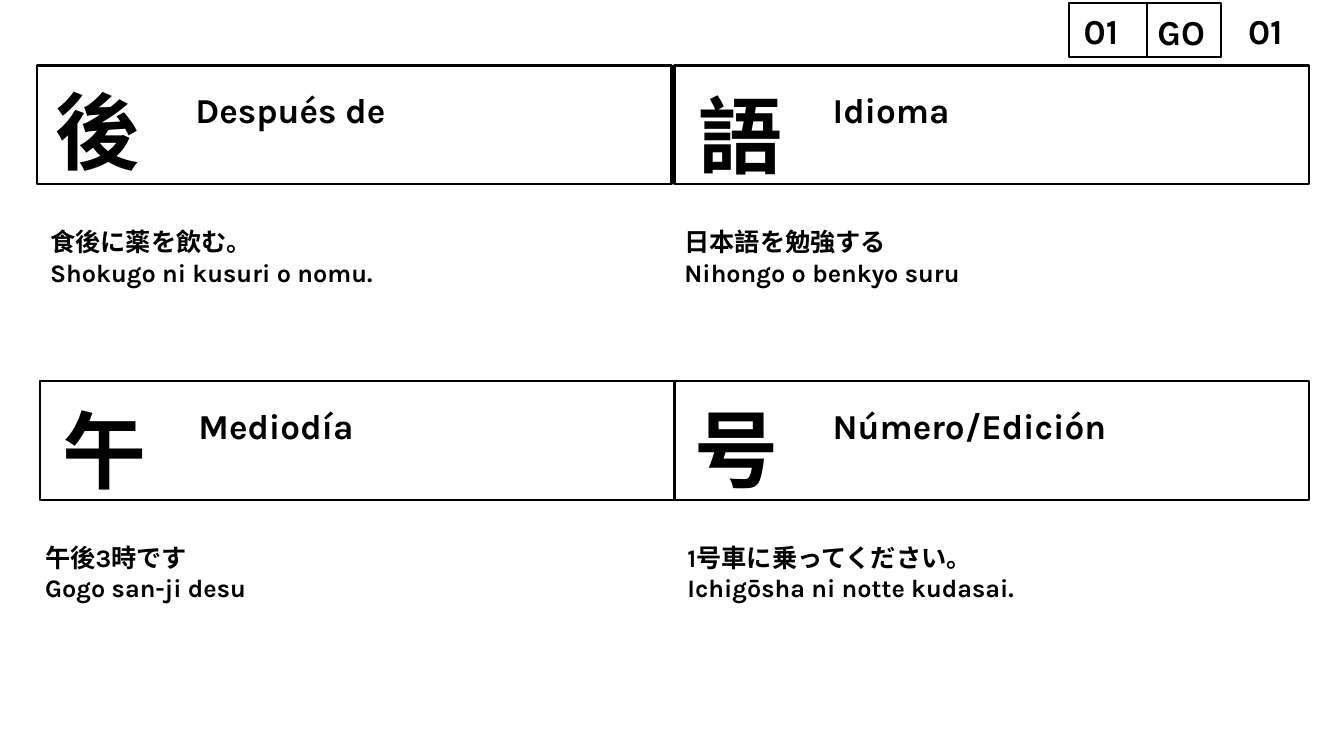
from pptx import Presentation, util as u
from pptx.dml.color import RGBColor
from pptx.enum import shapes, text

FONT, BLACK, WHITE = "Karla", "000000", "FFFFFF"
CARD_W, CARD_H = 6.29, 1.18
ROWS = (0.65, 3.78)
MEANING_DX, MEANING_DY = 1.47, 0.18
EXAMPLE_DY = 1.55

# row, left, kanji, kanji offset, meaning, meaning width, example lines, example offset
CARDS = [
    (0, 0.37, "後", (0.08, 0.09), "Después de", 2.68,
     ("食後に薬を飲む。", "Shokugo ni kusuri o nomu."), 0.03),
    (0, 6.69, "語", (0.14, 0.13), "Idioma", 2.68,
     ("日本語を勉強する", "Nihongo o benkyo suru"), 0),
    (1, 0.40, "午", (0.12, 0.12), "Mediodía", 2.68,
     ("午後3時です", "Gogo san-ji desu"), -0.05),
    (1, 6.69, "号", (0.10, 0.11), "Número/Edición", 4.52,
     ("1号車に乗ってください。", "Ichigōsha ni notte kudasai."), 0.03),
]


def rgb(value):
    return RGBColor.from_string(value)


def inches(*lengths):
    return [u.Inches(n) for n in lengths]


def write(sp, *lines, size=25, color=BLACK, bold=True):
    """Fill a shape with one left-aligned paragraph per line."""
    tf = sp.text_frame
    tf.word_wrap = True
    tf.auto_size = text.MSO_AUTO_SIZE.SHAPE_TO_FIT_TEXT
    tf.vertical_anchor = text.MSO_ANCHOR.TOP
    for i, line in enumerate(lines):
        p = tf.paragraphs[0] if i == 0 else tf.add_paragraph()
        p.alignment = text.PP_ALIGN.LEFT
        r = p.add_run()
        r.text = line
        r.font.name, r.font.size, r.font.bold = FONT, u.Pt(size), bold
        r.font.color.rgb = rgb(color)


def add_text(parent, box, *lines, **fmt):
    write(parent.shapes.add_textbox(*inches(*box)), *lines, **fmt)


def add_frame(parent, box, fill=None):
    sp = parent.shapes.add_shape(shapes.MSO_SHAPE.RECTANGLE, *inches(*box))
    sp.shadow.inherit = False
    sp.line.color.rgb, sp.line.width = rgb(BLACK), u.Pt(1.5)
    if fill:
        sp.fill.solid()
        sp.fill.fore_color.rgb = rgb(fill)
    else:
        sp.fill.background()


def add_header(s, x, y):
    """Reading in the title, framed beside its number, then the page number."""
    cell_w, cell_h, text_h = 0.78, 0.54, 0.52
    title = s.shapes.title
    title.left, title.top, title.width, title.height = inches(
        x + cell_w, y + 0.02, 0.9, text_h)
    write(title, "GO")
    add_frame(s, (x + 0.73, y, cell_w, cell_h))
    add_frame(s, (x, y, cell_w, cell_h), fill=WHITE)
    for dx in (0.05, 1.68):
        add_text(s, (x + dx, y + 0.01, 0.68, text_h), "01")


def add_card(s, row, x, kanji, offset, meaning, meaning_w, example, example_dx):
    y = ROWS[row]
    group = s.shapes.add_group_shape()
    add_frame(group, (x, y, CARD_W, CARD_H))
    add_text(group, (x + offset[0], y + offset[1], 1.1, 1.11), kanji, size=60)
    add_text(group, (x + MEANING_DX, y + MEANING_DY, meaning_w, 0.52), meaning)
    add_text(s, (x + example_dx, y + EXAMPLE_DY, 6.24, 0.71), *example, size=18)


def main():
    prs = Presentation()
    prs.slide_width, prs.slide_height = inches(13.33, 7.5)
    s = prs.slides.add_slide(prs.slide_layouts[5])
    add_header(s, 10.6, 0.03)
    for card in CARDS:
        add_card(s, *card)
    prs.save("out.pptx")


if __name__ == "__main__":
    main()
